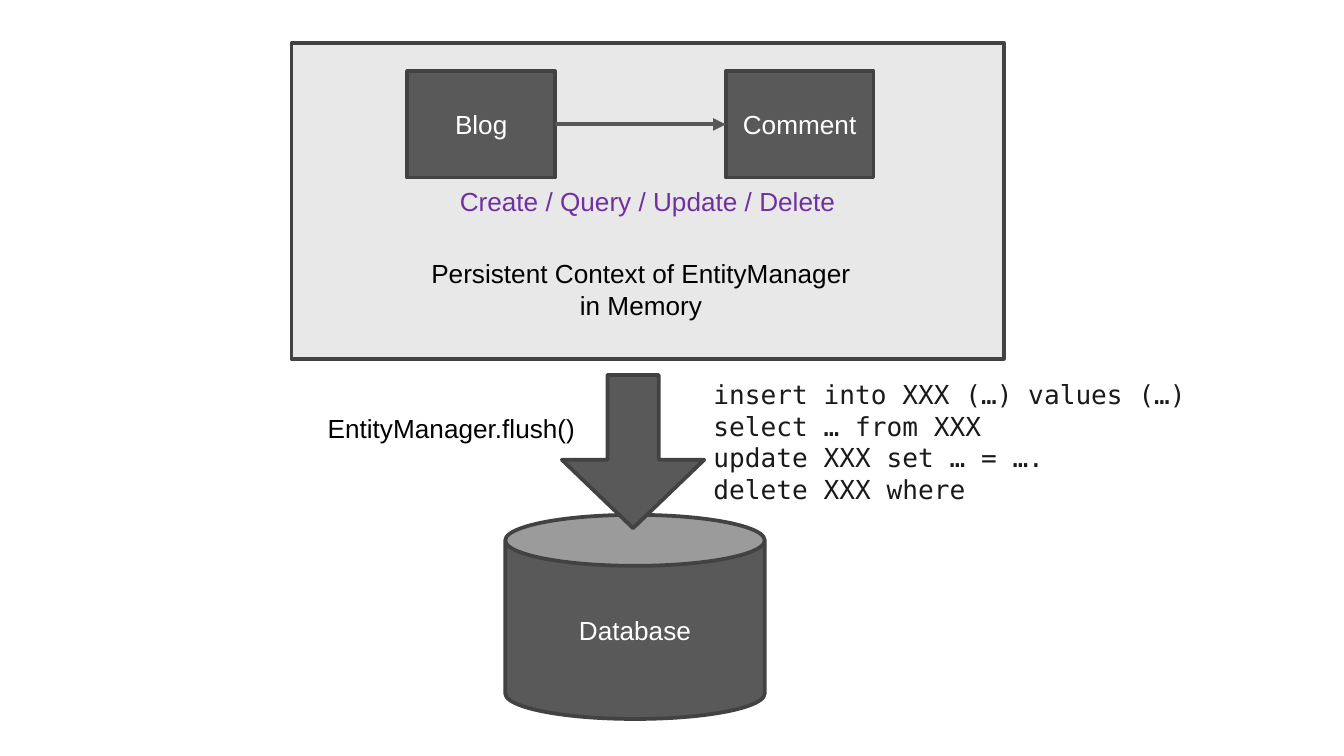
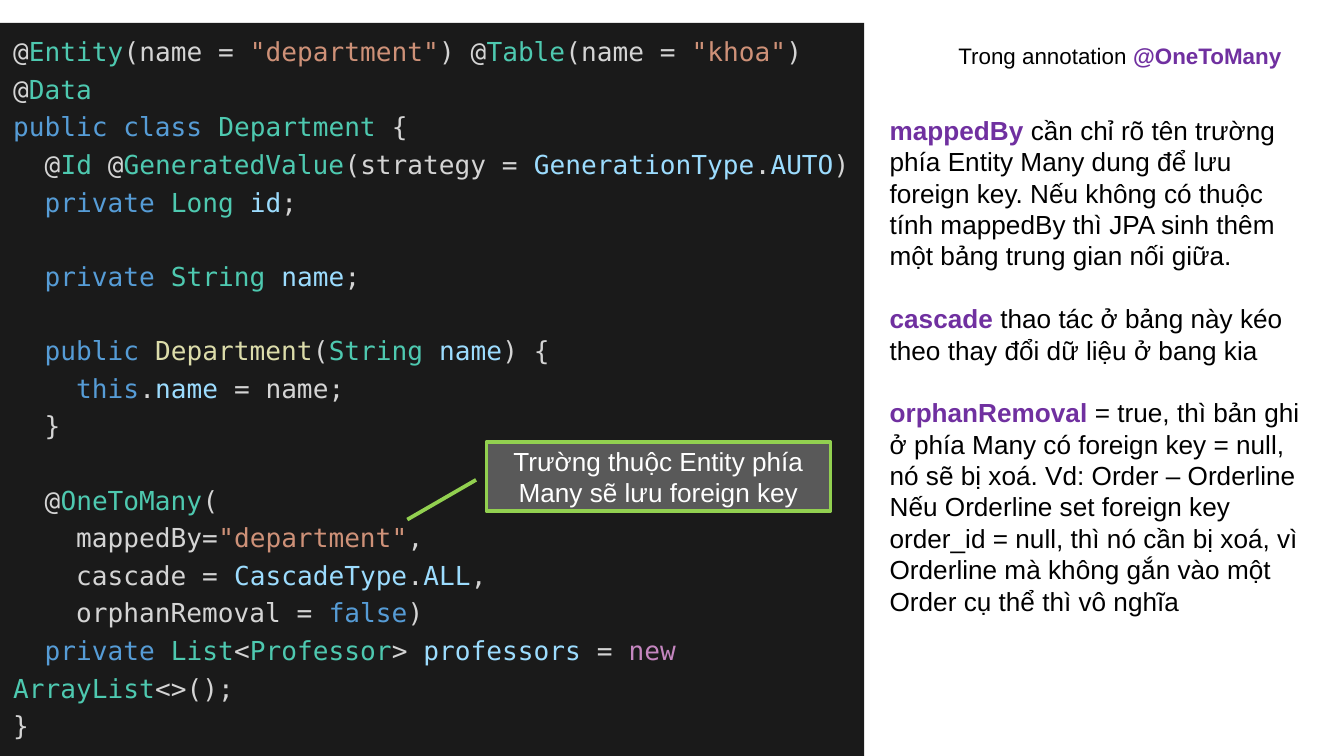
"""Build two slides on the JPA persistence context and the @OneToMany annotation."""
from lxml import etree
from pptx import Presentation
from pptx.dml.color import RGBColor
from pptx.enum.shapes import MSO_CONNECTOR, MSO_SHAPE
from pptx.enum.text import MSO_ANCHOR, MSO_AUTO_SIZE, PP_ALIGN
from pptx.oxml.ns import qn
from pptx.util import Pt

RECTANGLE, CAN, DOWN_ARROW = MSO_SHAPE.RECTANGLE, MSO_SHAPE.CAN, MSO_SHAPE.DOWN_ARROW
CALLOUT, STRAIGHT = MSO_SHAPE.LINE_CALLOUT_1, MSO_CONNECTOR.STRAIGHT
LEFT, CENTER = PP_ALIGN.LEFT, PP_ALIGN.CENTER
TOP, MIDDLE = MSO_ANCHOR.TOP, MSO_ANCHOR.MIDDLE
NO_AUTOFIT = MSO_AUTO_SIZE.NONE

SANS, MONO = "Arial", "DejaVu Sans Mono"
COLORS = {
    "white": "FFFFFF", "black": "000000", "panel": "E8E8E8", "block": "595959",
    "border": "424242", "arrow": "575757", "accent": "7030A0", "lime": "92D050",
    "dark": "1A1A1A", "plain": "D4D4D4", "type": "4EC9B0", "string": "CE9178",
    "keyword": "569CD6", "variable": "9CDCFE", "function": "DCDCAA", "new": "C586C0",
}


def write_runs(para, runs, font=SANS, size=14):
    for color, text in runs:
        for index, line in enumerate(text.split("\n")):
            if index:
                para.add_line_break()
            if line:
                span = para.add_run()
                span.text = line
                span.font.name, span.font.size = font, Pt(size)
                span.font.bold = color == "accent"
                span.font.color.rgb = RGBColor.from_string(COLORS[color])


def add_block(slide, kind, frame, fill, border=None, text="", color="white"):
    box = slide.shapes.add_shape(kind, *map(Pt, frame))
    box.shadow.inherit = False
    box.fill.solid()
    box.fill.fore_color.rgb = RGBColor.from_string(COLORS[fill])
    if border:
        box.line.color.rgb = RGBColor.from_string(COLORS[border])
        box.line.width = Pt(2)
    else:
        box.line.fill.background()
    box.text_frame.word_wrap = True
    box.text_frame.vertical_anchor = MIDDLE
    para = box.text_frame.paragraphs[0]
    para.alignment = CENTER
    write_runs(para, [(color, text)])
    for span in para.runs:
        span.font.bold = False
    return box


deck = Presentation()
deck.slide_width, deck.slide_height = Pt(720), Pt(405)

page = deck.slides.add_slide(deck.slide_layouts[6])
add_block(page, RECTANGLE, (156.2, 23, 381.6, 169.2), "panel", "border",
          "Create / Query / Update / Delete", "accent")
add_block(page, CAN, (270.7, 275.8, 139, 109.4), "block", "border", "Database")
blog, comment = [
    add_block(page, RECTANGLE, (left, 38.2, 79.2, 56.9), "block", "border", name)
    for left, name in ((218.2, "Blog"), (388.8, "Comment"))
]
link = page.shapes.add_connector(STRAIGHT, 0, 0, 0, 0)
link.begin_connect(blog, 3)
link.end_connect(comment, 1)
link.line.color.rgb = RGBColor.from_string(COLORS["arrow"])
link.line.width = Pt(2.25)
etree.SubElement(link.line._get_or_add_ln(), qn("a:tailEnd"), type="triangle")
etree.SubElement(link._element.spPr, qn("a:effectLst"))

flush_arrow = add_block(page, DOWN_ARROW, (301, 200.9, 76.3, 82.1), "block", "border")
flush_arrow.adjustments[0], flush_arrow.adjustments[1] = 0.36, 0.48

statements = ["insert into XXX (…) values (…)", "select … from XXX",
              "update XXX set … = ….", "delete XXX where"]
labels = [
    ((375.1, 199.4, 278.6, 74.9), statements, MONO, "dark", LEFT, True),
    ((168.5, 217.4, 148.3, 24.5), ["EntityManager.flush()"], SANS, "black", LEFT, False),
    ((223.2, 134.6, 240.5, 41), ["Persistent Context of EntityManager\nin Memory"],
     SANS, "black", CENTER, False),
]
for frame, lines, font, color, alignment, wrap in labels:
    box = page.shapes.add_textbox(*map(Pt, frame))
    box.text_frame.word_wrap = wrap
    for index, line in enumerate(lines):
        para = box.text_frame.add_paragraph() if index else box.text_frame.paragraphs[0]
        para.alignment = alignment
        write_runs(para, [(color, line)], font)

page = deck.slides.add_slide(deck.slide_layouts[1])
code = [
    (False, [("plain", "@"), ("type", "Entity"), ("plain", "(name = "),
             ("string", '"department"'), ("plain", ") @"), ("type", "Table"),
             ("plain", "(name = "), ("string", '"khoa"'), ("plain", ")\n@"),
             ("type", "Data")]),
    (False, [("keyword", "public class "), ("type", "Department"), ("plain", " {")]),
    (False, [("plain", "  @"), ("type", "Id"), ("plain", " @"),
             ("type", "GeneratedValue"), ("plain", "(strategy = "),
             ("variable", "GenerationType"), ("plain", "."), ("variable", "AUTO"),
             ("plain", ")")]),
    (False, [("keyword", "  private "), ("type", "Long "), ("variable", "id"),
             ("plain", ";")]),
    (True, [("keyword", "  private "), ("type", "String "), ("variable", "name"),
            ("plain", ";")]),
    (True, [("keyword", "  public "), ("function", "Department"), ("plain", "("),
            ("type", "String "), ("variable", "name"), ("plain", ") {")]),
    (False, [("keyword", "    this"), ("plain", "."), ("variable", "name"),
             ("plain", " = name;")]),
    (False, [("plain", "  }")]),
    (True, [("plain", "  @"), ("type", "OneToMany"), ("plain", "(\n    mappedBy="),
            ("string", '"department"'), ("plain", ",\n    cascade = "),
            ("variable", "CascadeType"), ("plain", "."), ("variable", "ALL"),
            ("plain", ",\n    orphanRemoval = "), ("keyword", "false"), ("plain", ")")]),
    (False, [("keyword", "  private "), ("type", "List"), ("plain", "<"),
             ("type", "Professor"), ("plain", "> "), ("variable", "professors"),
             ("plain", " = "), ("new", "new "), ("type", "ArrayList"),
             ("plain", "<>();")]),
    (False, [("plain", "}")]),
]
panel = add_block(page, RECTANGLE, (0, 12.2, 463, 392.8), "dark")
panel.text_frame.vertical_anchor = TOP
for index, (gap, runs) in enumerate(code):
    para = panel.text_frame.add_paragraph() if index else panel.text_frame.paragraphs[0]
    para.alignment = LEFT
    para.line_spacing = 1.2
    para.space_before = Pt(19.6 if gap else 0)
    write_runs(para, runs, MONO)

callout = add_block(page, CALLOUT, (260.6, 236.9, 184.3, 36.7), "block", "lime",
                    "Trường thuộc Entity phía Many sẽ lưu foreign key")
for index, value in enumerate((0.55, -0.03, 1.13, -0.23)):
    callout.adjustments[index] = value

title, body = page.shapes.title, page.placeholders[1]
for box, frame in ((title, (506.2, 18.7, 190.8, 21.6)), (body, (469.4, 57.6, 257, 278.6))):
    box.left, box.top, box.width, box.height = map(Pt, frame)
    box.text_frame.auto_size = NO_AUTOFIT
    box.text_frame.vertical_anchor = TOP
title.text_frame.word_wrap = False
title.text_frame.paragraphs[0].alignment = LEFT
write_runs(title.text_frame.paragraphs[0],
           [("black", "Trong annotation "), ("accent", "@OneToMany")], size=12)

notes = [
    ("mappedBy", " cần chỉ rõ tên trường\nphía Entity Many dung để lưu\n"
     "foreign key. Nếu không có thuộc\ntính mappedBy thì JPA sinh thêm\n"
     "một bảng trung gian nối giữa."),
    ("cascade", " thao tác ở bảng này kéo\ntheo thay đổi dữ liệu ở bang kia"),
    ("orphanRemoval", " = true, thì bản ghi\nở phía Many có foreign key = null,\n"
     "nó sẽ bị xoá. Vd: Order – Orderline\nNếu Orderline set foreign key\n"
     "order_id = null, thì nó cần bị xoá, vì\nOrderline mà không gắn vào một\n"
     "Order cụ thể thì vô nghĩa"),
]
for index, (term, meaning) in enumerate(notes):
    para = body.text_frame.add_paragraph() if index else body.text_frame.paragraphs[0]
    properties = para._p.get_or_add_pPr()
    properties.set("marL", "0")
    properties.set("indent", "0")
    etree.SubElement(properties, qn("a:buNone"))
    para.space_before = Pt(16.8 if index else 0)
    write_runs(para, [("accent", term), ("black", meaning)])

deck.save("out.pptx")
